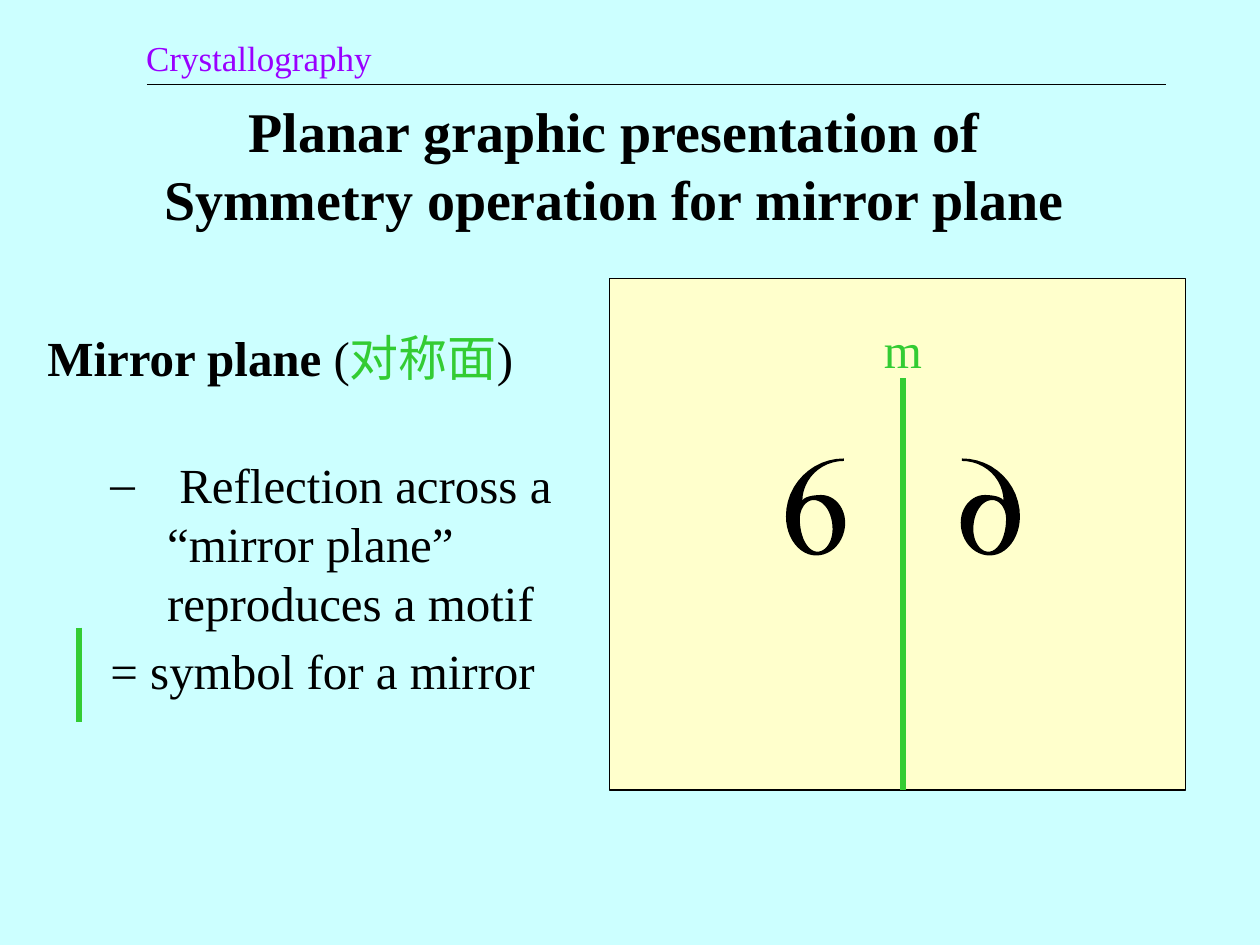
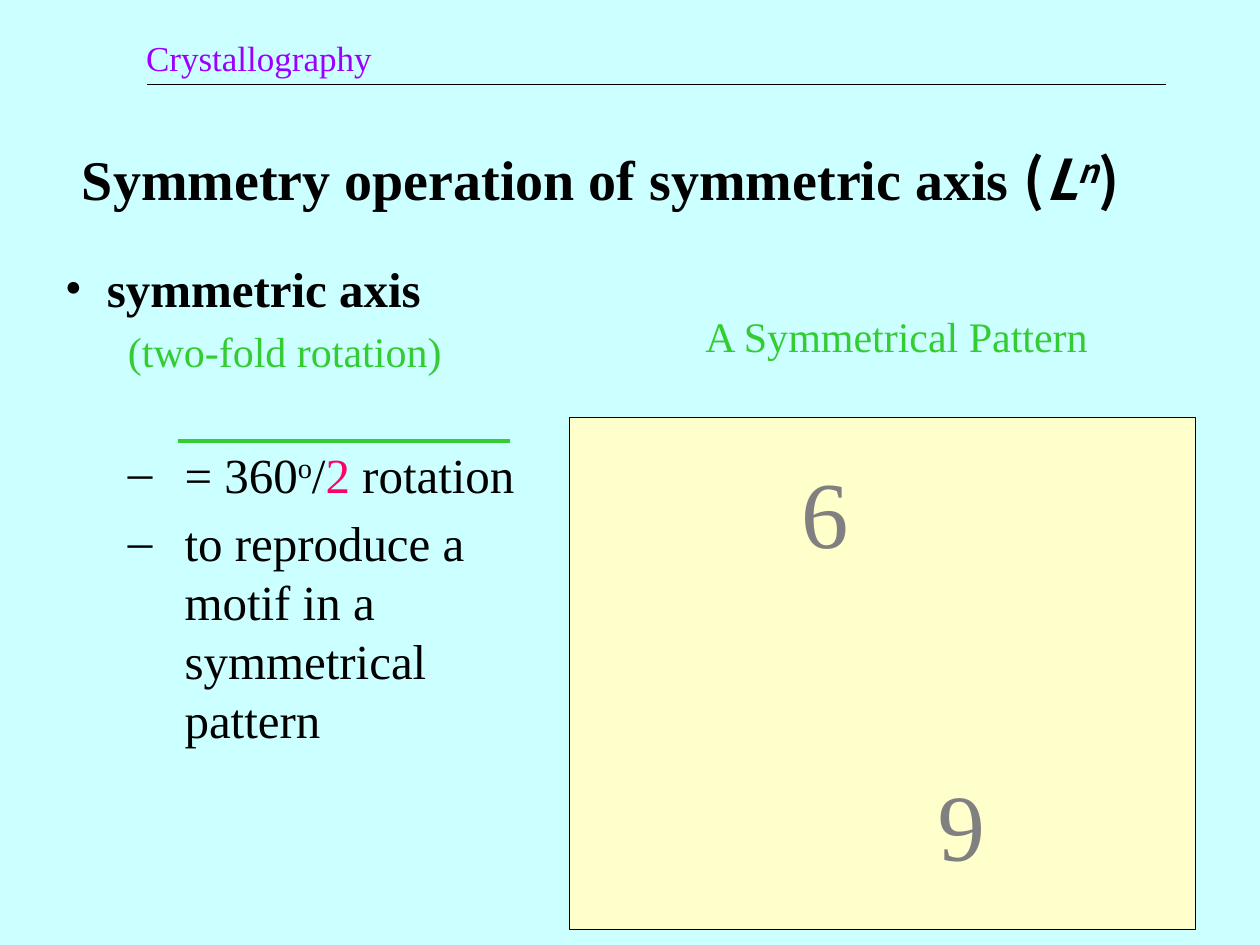
from dataclasses import dataclass
from math import cos, pi, sin

from lxml import etree
from pptx import Presentation
from pptx.dml.color import RGBColor
from pptx.enum.shapes import MSO_CONNECTOR, MSO_SHAPE
from pptx.enum.text import MSO_ANCHOR, MSO_AUTO_SIZE, PP_ALIGN
from pptx.oxml.ns import qn
from pptx.util import Pt

STRAIGHT = MSO_CONNECTOR.STRAIGHT
RECTANGLE = MSO_SHAPE.RECTANGLE
TOP, MIDDLE = MSO_ANCHOR.TOP, MSO_ANCHOR.MIDDLE
CENTER = PP_ALIGN.CENTER
NO_AUTOFIT = MSO_AUTO_SIZE.NONE
TITLE_ONLY = 5


@dataclass(frozen=True)
class Theme:
    background: str = "CCFFFF"
    panel: str = "FFFFCC"
    ink: str = "000000"
    green: str = "33CC33"
    purple: str = "9900FF"
    pink: str = "FF0066"
    grey: str = "808080"
    font: str = "Times New Roman"
    cjk_font: str = "Noto Sans CJK SC"
    header: int = 20
    note: int = 24
    body: int = 28
    title: int = 32
    motif: int = 54
    hairline: float = 0.75
    underline: float = 2.25
    mirror: float = 3


T = Theme()

PARAGRAPH_GAP = 0.2    # space before a list item, as a share of its type size
SECTION_GAP = 39       # space before the first item of a new group
SUBITEM_MARGIN, SUBITEM_HANG = 68.4, 32.4

# The motif is a "6" made of quarter ellipses. These are the points where its
# edge runs level or upright by turns, the first one level.
MOTIF_UNIT = 0.72
MOTIF_WIDTH = 47
MOTIF_EDGE = [(46, 0), (0, 46), (24, 77), (47, 51), (28, 29), (13, 34), (46, 2)]
MOTIF_HOLE = [(22, 33), (37, 56), (25, 74), (11, 48), (22, 33)]
STEPS_PER_QUARTER = 12


def rgb(color):
    return RGBColor.from_string(color)


def paint(sp, color):
    sp.shadow.inherit = False
    sp.fill.solid()
    sp.fill.fore_color.rgb = rgb(color)


def add_run(p, text, size=T.body, color=T.ink, font=T.font, bold=False,
            italic=False, superscript=False, cjk=None):
    r = p.add_run()
    r.text = text
    r.font.size = Pt(size)
    r.font.bold = bold
    r.font.italic = italic
    r.font.color.rgb = rgb(color)
    r.font.name = font
    if superscript:
        r.font._element.set("baseline", "30000")
    if cjk:
        etree.SubElement(r.font._element, qn("a:ea"), typeface=cjk)


def set_indent(p, margin, hang, bullet):
    """Indent a paragraph, and hang a bullet in the indent if one is given."""
    pPr = p._p.get_or_add_pPr()
    pPr.set("marL", str(Pt(margin)))
    pPr.set("indent", str(Pt(-hang)))
    if bullet:
        color = etree.SubElement(pPr, qn("a:buClr"))
        etree.SubElement(color, qn("a:srgbClr"), val=T.ink)
        etree.SubElement(pPr, qn("a:buFont"), typeface=T.font)
        etree.SubElement(pPr, qn("a:buChar"), char=bullet)
    else:
        etree.SubElement(pPr, qn("a:buNone"))


def add_item(tf, *runs, before=0, margin=0, hang=0, bullet=None):
    """Fill the next paragraph of a list with (text, format) runs."""
    p = tf.add_paragraph() if tf.paragraphs[0].runs else tf.paragraphs[0]
    p.space_before = Pt(before)
    set_indent(p, margin, hang, bullet)
    for text, style in runs:
        add_run(p, text, **style)


def add_subitem(tf, *runs, before=PARAGRAPH_GAP * T.body, bullet=None):
    add_item(tf, *runs, before=before, margin=SUBITEM_MARGIN,
             hang=SUBITEM_HANG, bullet=bullet)


def add_list_box(slide, left, top, width, height):
    sp = slide.shapes.add_textbox(Pt(left), Pt(top), Pt(width), Pt(height))
    sp.text_frame.word_wrap = True
    return sp.text_frame


def add_label(slide, text, left, top, width, height, **style):
    sp = slide.shapes.add_textbox(Pt(left), Pt(top), Pt(width), Pt(height))
    sp.text_frame.word_wrap = False
    add_run(sp.text_frame.paragraphs[0], text, **style)
    return sp


def add_line(slide, x1, y1, x2, y2, color, weight):
    line = slide.shapes.add_connector(STRAIGHT, Pt(x1), Pt(y1), Pt(x2), Pt(y2))
    line.line.color.rgb = rgb(color)
    line.line.width = Pt(weight)
    etree.SubElement(line._element.spPr, qn("a:effectLst"))


def add_panel(slide, left, top, width, height):
    sp = slide.shapes.add_shape(RECTANGLE, Pt(left), Pt(top), Pt(width), Pt(height))
    paint(sp, T.panel)
    sp.line.color.rgb = rgb(T.ink)
    sp.line.width = Pt(T.hairline)


def quarter_curve(knots):
    """Join knots by quarter ellipses that start level and upright by turns."""
    points = [knots[0]]
    for i, ((x1, y1), (x2, y2)) in enumerate(zip(knots, knots[1:])):
        for step in range(1, STEPS_PER_QUARTER + 1):
            angle = pi / 2 * step / STEPS_PER_QUARTER
            early, late = sin(angle), 1 - cos(angle)
            dx, dy = (late, early) if i % 2 else (early, late)
            points.append((x1 + (x2 - x1) * dx, y1 + (y2 - y1) * dy))
    return points


def add_motif(slide, left, top, mirrored=False):
    def place(knots):
        return [(Pt((MOTIF_WIDTH - x if mirrored else x) * MOTIF_UNIT),
                 Pt(y * MOTIF_UNIT)) for x, y in quarter_curve(knots)]

    edge, hole = place(MOTIF_EDGE), place(MOTIF_HOLE)
    builder = slide.shapes.build_freeform(*edge[0])
    builder.add_line_segments(edge[1:])
    builder.move_to(*hole[0])
    builder.add_line_segments(hole[1:])
    sp = builder.convert_to_shape(Pt(left), Pt(top))
    paint(sp, T.ink)
    sp.line.fill.background()


def add_header(slide, left, top, width, height):
    """Write the course name over a rule that closes the header box."""
    rule = top + height
    add_line(slide, left, rule, left + width, rule, T.ink, T.hairline)
    add_label(slide, "Crystallography", left - 7.6, top, 204.5, height,
              size=T.header, color=T.purple)


def set_title(slide, lines, left, top, width, height, anchor):
    sp = slide.shapes.title
    sp.left, sp.top, sp.width, sp.height = map(Pt, (left, top, width, height))
    tf = sp.text_frame
    tf.auto_size = NO_AUTOFIT
    tf.word_wrap = True
    tf.vertical_anchor = anchor
    for i, runs in enumerate(lines):
        p = tf.add_paragraph() if i else tf.paragraphs[0]
        p.alignment = CENTER
        for text, style in runs:
            add_run(p, text, size=T.title, bold=True, **style)


def add_mirror_text(slide, left, top, width, height):
    tf = add_list_box(slide, left, top, width, height)
    add_item(tf, ("Mirror plane ", {"bold": True}), ("(", {}),
             ("对称面", {"color": T.green, "cjk": T.cjk_font}), (")", {}))
    add_subitem(tf, (" Reflection across a “mirror plane” reproduces a motif", {}),
                before=SECTION_GAP, bullet="–")
    add_subitem(tf, ("= symbol for a mirror", {}))
    symbol_x, symbol_y, symbol_height = left + 25.2, top + 175, 54
    add_line(slide, symbol_x, symbol_y, symbol_x, symbol_y + symbol_height,
             T.green, T.mirror)


def add_mirror_panel(slide, left, top, width, height):
    """Draw a motif and its reflection on either side of a mirror line."""
    axis, axis_top = left + 167.5, top + 57
    motif_top = top + 103
    gap = 33
    label_width, label_height = 36, 41
    add_panel(slide, left, top, width, height)
    add_motif(slide, axis - gap - MOTIF_WIDTH * MOTIF_UNIT, motif_top)
    add_motif(slide, axis + gap, motif_top, mirrored=True)
    add_line(slide, axis, axis_top, axis, top + height, T.green, T.mirror)
    add_label(slide, "m", axis - label_width / 2, top + 20.2,
              label_width, label_height, color=T.green)


def add_axis_text(slide, left, top, width, height):
    tf = add_list_box(slide, left, top, width, height)
    add_item(tf, ("symmetric axis", {"bold": True}),
             margin=24, hang=24, bullet="•")
    add_subitem(tf, ("(two-fold rotation)", {"size": T.note, "color": T.green}),
                before=PARAGRAPH_GAP * T.note)
    add_subitem(tf, ("= 360", {}), ("o", {"superscript": True}), ("/", {}),
                ("2", {"color": T.pink}), (" rotation", {}),
                before=SECTION_GAP, bullet="–")
    add_subitem(tf, ("to reproduce a motif in a symmetrical pattern", {}), bullet="–")
    rule_x, rule_y, rule_width = left + 72, top + 108, 189.4
    add_line(slide, rule_x, rule_y, rule_x + rule_width, rule_y,
             T.green, T.underline)


def add_rotation_panel(slide, left, top, width, height):
    """Draw a motif and its half turn, under a caption."""
    add_panel(slide, left, top, width, height)
    add_label(slide, "A Symmetrical Pattern", left + 70.5, top - 64.3, 234, 36,
              size=T.note, color=T.green)
    for dx, dy, turn in ((125.3, 17.3, 0), (203, 203.6, 180)):
        sp = add_label(slide, "6", left + dx, top + dy, 41.8, 72,
                       size=T.motif, color=T.grey)
        sp.rotation = turn


def build_mirror_slide(slide):
    add_mirror_panel(slide, 348.5, 159, 329, 292.5)
    add_mirror_text(slide, 20, 183.6, 345, 342)
    set_title(slide, [[("Planar graphic presentation of", {})],
                      [("Symmetry operation for mirror plane", {})]],
              78.5, 51.8, 545, 85, TOP)


def build_axis_slide(slide):
    add_axis_text(slide, 30, 144, 286, 323.3)
    add_rotation_panel(slide, 325.5, 238.5, 357.8, 292.5)
    upright = {"font": T.cjk_font}
    slanted = {**upright, "italic": True}
    set_title(slide, [[("Symmetry operation of symmetric axis ", {}),
                       ("(", upright), ("L", slanted),
                       ("n", {**slanted, "superscript": True}), (")", upright)]],
              -76.5, 61.6, 839.5, 80.6, MIDDLE)


def main():
    prs = Presentation()
    prs.slide_width, prs.slide_height = Pt(720), Pt(540)
    fill = prs.slide_master.background.fill
    fill.solid()
    fill.fore_color.rgb = rgb(T.background)
    for build in (build_mirror_slide, build_axis_slide):
        slide = prs.slides.add_slide(prs.slide_layouts[TITLE_ONLY])
        build(slide)
        add_header(slide, 84, 17.6, 582, 30.6)
    prs.save("out.pptx")


if __name__ == "__main__":
    main()
